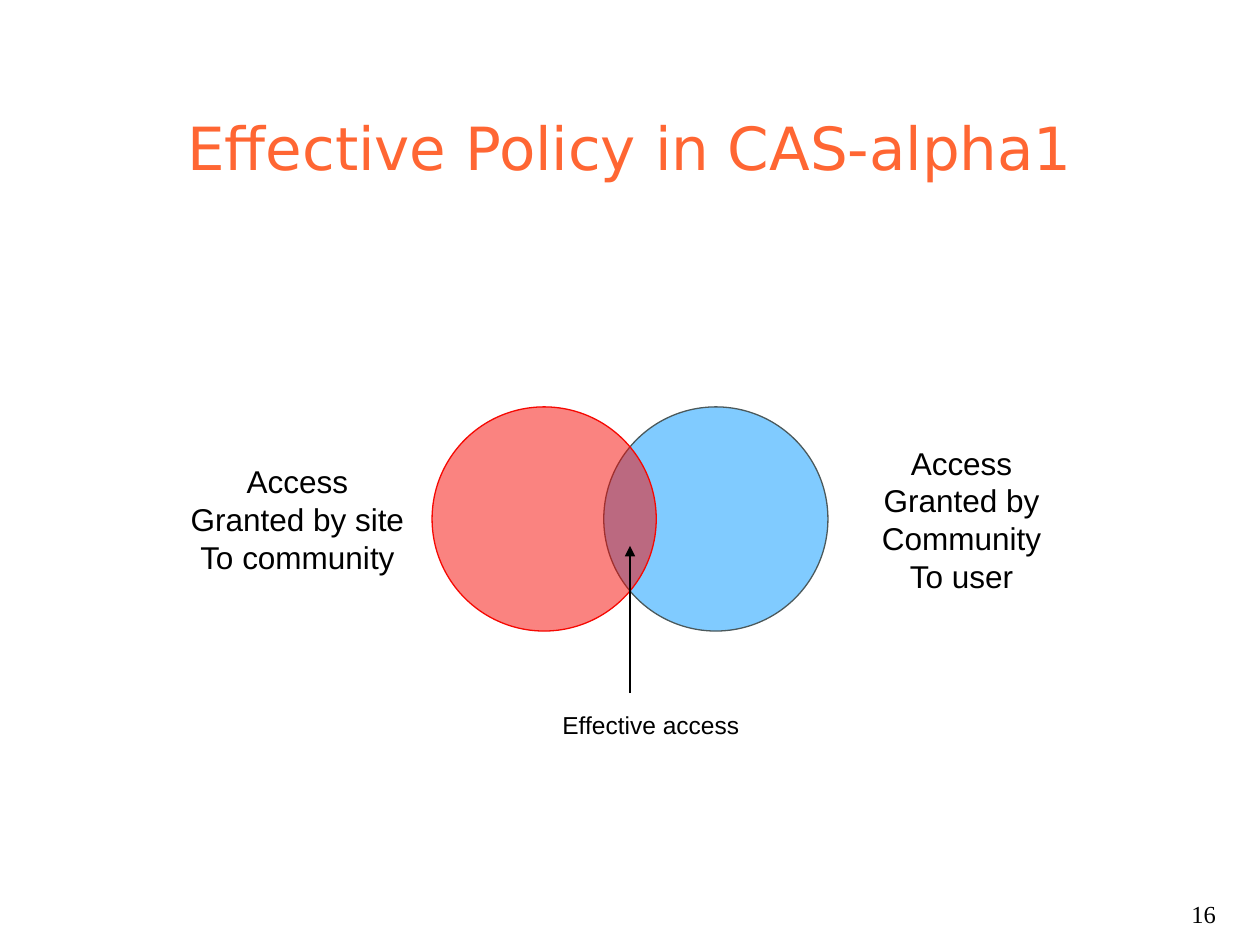
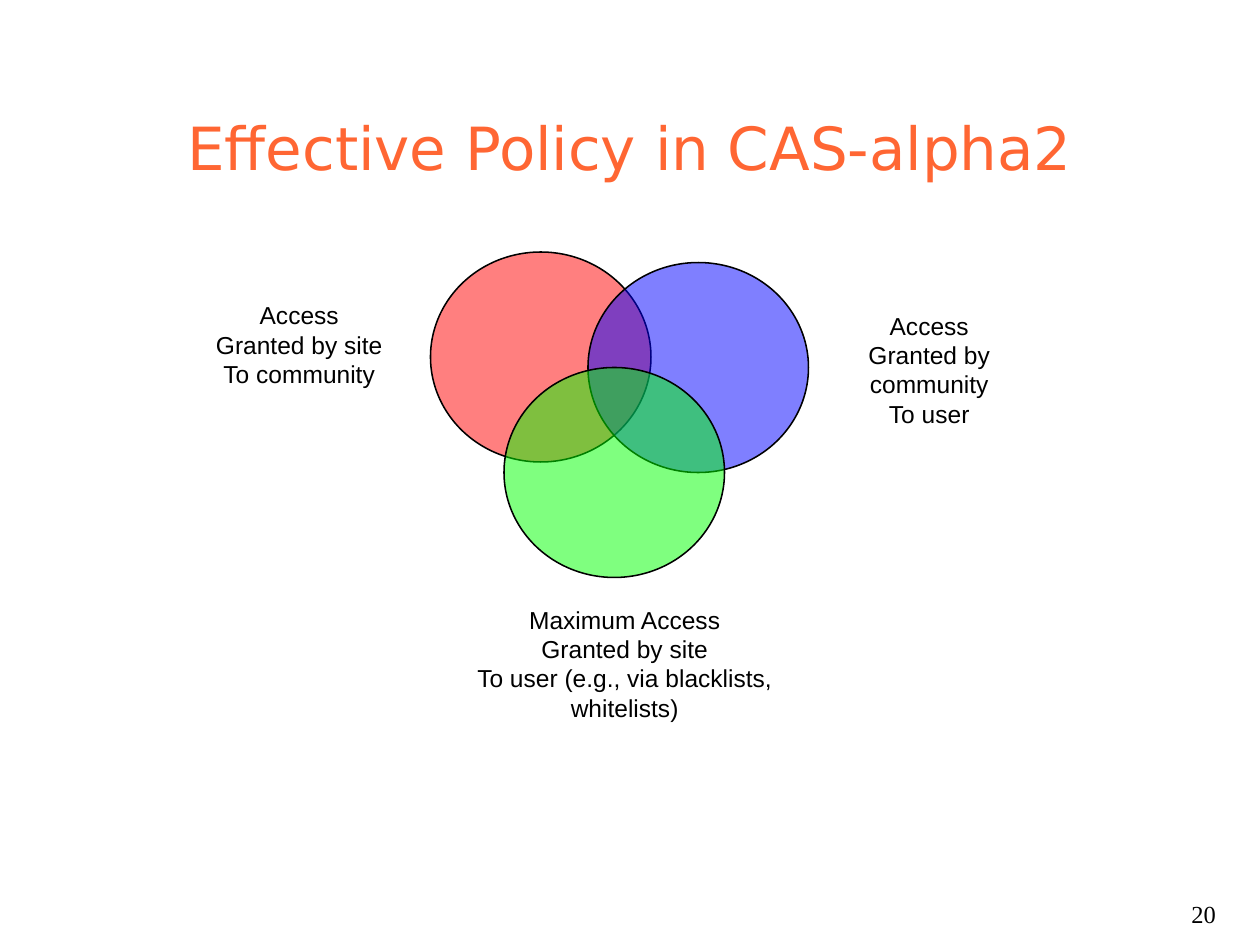
from lxml import etree
from pptx import Presentation
from pptx.dml.color import RGBColor
from pptx.enum.shapes import MSO_CONNECTOR as Connector, MSO_SHAPE as Shape
from pptx.enum.text import MSO_ANCHOR as Anchor, MSO_AUTO_SIZE as AutoSize, PP_ALIGN as Align
from pptx.oxml.ns import qn
from pptx.util import Inches, Pt

ORANGE = RGBColor(0xFF, 0x66, 0x33)
BLACK = RGBColor(0, 0, 0)
SKY = RGBColor(0x03, 0x99, 0xFF)
SLATE = RGBColor(0x4B, 0x59, 0x5B)
SCARLET = RGBColor(0xF6, 0x08, 0x02)
RED = RGBColor(0xFF, 0, 0)
BLUE = RGBColor(0, 0, 0xFF)
GREEN = RGBColor(0, 0xFF, 0)

deck = Presentation()
deck.slide_width, deck.slide_height = Inches(10), Inches(7.5)
COLUMN = deck.slide_width / 120
ROW = deck.slide_height / 90


def place(column, row, columns, rows):
    return [int(length) for length in
            (column * COLUMN, row * ROW, columns * COLUMN, rows * ROW)]


def add_text(page, area, lines, size, font="Arial", color=BLACK,
             align=Align.CENTER, anchor=Anchor.TOP, wrap=True):
    box = page.shapes.add_textbox(*place(*area))
    frame = box.text_frame
    frame.word_wrap = wrap
    frame.auto_size = AutoSize.NONE
    frame.vertical_anchor = anchor
    for index, line in enumerate(lines):
        para = frame.paragraphs[0] if index == 0 else frame.add_paragraph()
        para.alignment = align
        span = para.add_run()
        span.text = line
        span.font.name = font
        span.font.size = Pt(size)
        span.font.color.rgb = color


SITE_GRANT = ["Access", "Granted by site", "To community"]
DIAMETER = 21.35
CIRCLE_ROW = 38.75
LABEL_ROW, LABEL_ROWS = 46.8, 5.3

slides = [
    {
        "title": "Effective Policy in CAS-alpha1",
        "number": "16",
        "circles": [
            ((57.5, CIRCLE_ROW, DIAMETER, DIAMETER), SKY, SLATE, 0.75),
            ((41.15, CIRCLE_ROW, DIAMETER, DIAMETER), SCARLET, SCARLET, 0.75),
        ],
        "side_labels": [
            ((80.9, LABEL_ROW, DIAMETER, LABEL_ROWS),
             ["Access", "Granted by", "Community", "To user"]),
            ((17.65, LABEL_ROW, DIAMETER, LABEL_ROWS), SITE_GRANT),
        ],
        "notes_below": [((50, 67, 24, 4), ["Effective access"])],
        "arrows": [(60, 66, 60, 52)],
    },
    {
        "title": "Effective Policy in CAS-alpha2",
        "number": "20",
        "circles": [
            ((41, 24, 21, 20), RED, BLACK, 0.88),
            ((56, 25, 21, 20), BLUE, BLACK, 0.88),
            ((48, 35, 21, 20), GREEN, BLACK, 0.88),
        ],
        "side_labels": [],
        "notes_below": [
            ((19, 28, 19, 9.6), SITE_GRANT),
            ((79, 29, 19, 12.5), ["Access", "Granted by community", "To user"]),
            ((44, 57, 31, 12.5), ["Maximum Access", "Granted by site",
                                  "To user (e.g., via blacklists, whitelists)"]),
        ],
        "arrows": [],
    },
]

for content in slides:
    page = deck.slides.add_slide(deck.slide_layouts[6])
    add_text(page, (9, 8, 102, 10), [content["title"]], 34, "DejaVu Sans", ORANGE,
             anchor=Anchor.BOTTOM)

    for area, fill, outline, weight in content["circles"]:
        circle = page.shapes.add_shape(Shape.OVAL, *place(*area))
        circle.shadow.inherit = False
        circle.fill.solid()
        circle.fill.fore_color.rgb = fill
        circle.line.color.rgb = outline
        circle.line.width = Pt(weight)
        tint = circle.fill._xPr.find(qn("a:solidFill"))[0]
        etree.SubElement(tint, qn("a:alpha"), val="50000")

    for area, lines in content["side_labels"]:
        add_text(page, area, lines, 18, anchor=Anchor.MIDDLE, wrap=False)

    for area, lines in content["notes_below"]:
        add_text(page, area, lines, 14)

    for ends in content["arrows"]:
        arrow = page.shapes.add_connector(Connector.STRAIGHT, *place(*ends))
        arrow.line.color.rgb = BLACK
        arrow.line.width = Pt(0.88)
        etree.SubElement(arrow.line._get_or_add_ln(), qn("a:tailEnd"), type="triangle")
        etree.SubElement(arrow._element.spPr, qn("a:effectLst"))

    add_text(page, (92, 85, 25, 4), [content["number"]], 14, "Times New Roman",
             align=Align.RIGHT)

deck.save("out.pptx")
